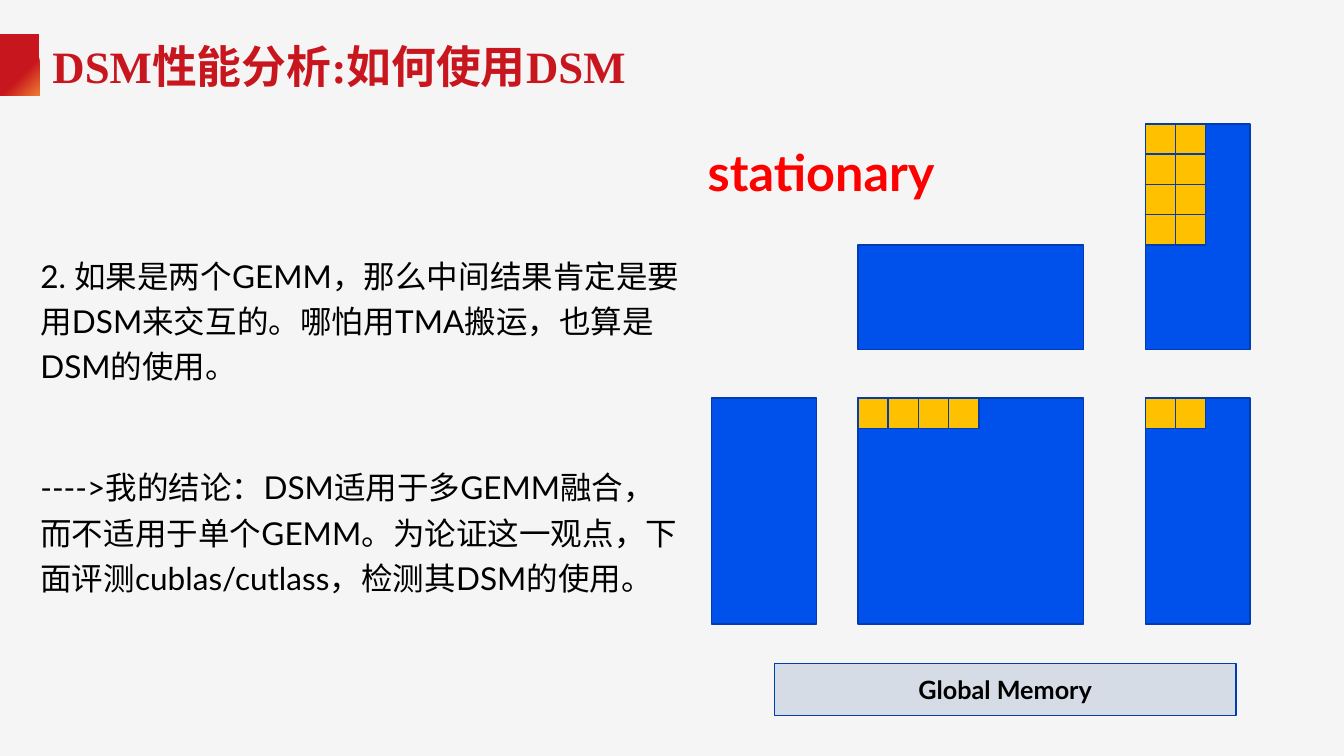
from lxml.etree import SubElement
from pptx import Presentation
from pptx.dml.color import RGBColor
from pptx.enum.shapes import MSO_SHAPE
from pptx.enum.text import MSO_ANCHOR, MSO_AUTO_SIZE, PP_ALIGN
from pptx.oxml.ns import qn
from pptx.util import Inches, Pt

BLUE, EDGE, AMBER, RED = "0051EB", "003DB0", "FFC000", "C8161E"
SHORT, LONG, TILE = 1.04, 2.24, 0.3
LEFT_X, MIDDLE_X, RIGHT_X = 7.06, 8.51, 11.36
TOP_Y, LOWER_Y = 1.23, 3.95
TITLE = "DSM性能分析:如何使用DSM"
POINTS = [
    "2. 如果是两个GEMM，那么中间结果肯定是要用DSM来交互的。哪怕用TMA搬运，也算是DSM的使用。",
    "---->我的结论：DSM适用于多GEMM融合，而不适用于单个GEMM。"
    "为论证这一观点，下面评测cublas/cutlass，检测其DSM的使用。",
]


def color(value):
    """Turn a hex string into a colour."""
    return RGBColor.from_string(value)


def place(shape, left, top, width, height):
    """Move and size a shape, in inches."""
    shape.left, shape.top = Inches(left), Inches(top)
    shape.width, shape.height = Inches(width), Inches(height)


def style(para, name, size, ink, bold=False):
    """Set the font of a paragraph."""
    font = para.font
    font.name, font.size, font.bold = name, Pt(size), bold
    font.color.rgb = color(ink)


def add_block(page, left, top, width, height, fill=BLUE):
    """Add an outlined rectangle."""
    block = page.shapes.add_shape(
        MSO_SHAPE.RECTANGLE, Inches(left), Inches(top), Inches(width), Inches(height))
    block.shadow.inherit = False
    block.fill.solid()
    block.fill.fore_color.rgb = color(fill)
    block.line.color.rgb = color(EDGE)
    block.line.width = Pt(1)
    return block


def add_tiles(page, left, top, columns, rows):
    """Add a grid of square tiles."""
    for column in range(columns):
        for row in range(rows):
            add_block(page, left + column * TILE, top + row * TILE, TILE, TILE, AMBER)


def add_title(page):
    """Fill the title and add the gradient badge beside it."""
    badge = add_block(page, 0, 0.34, 0.39, 0.61)
    badge.line.fill.background()
    badge.fill.gradient()
    badge.fill.gradient_angle = 315
    for stop, position, ink in zip(badge.fill.gradient_stops, (0.62, 1), (RED, "ED7D31")):
        stop.position = position
        stop.color.rgb = color(ink)
    title = page.shapes.title
    place(title, 0.42, 0.29, 9.78, 0.72)
    frame = title.text_frame
    frame.text = TITLE
    frame.auto_size = MSO_AUTO_SIZE.NONE
    frame.vertical_anchor = MSO_ANCHOR.MIDDLE
    frame.paragraphs[0].alignment = PP_ALIGN.LEFT
    style(frame.paragraphs[0], "Times New Roman", 32, RED, True)


def add_points(page):
    """Fill the body placeholder with unbulleted paragraphs."""
    body = page.placeholders[1]
    place(body, 0.3, 2.42, 6.55, 3.77)
    frame = body.text_frame
    frame.text = "\n".join(POINTS)
    frame.auto_size = MSO_AUTO_SIZE.NONE
    for index, para in enumerate(frame.paragraphs):
        para.line_spacing = 1.2
        para.space_before = Pt(54 * index)
        properties = para._p.get_or_add_pPr()
        properties.set("marL", "0")
        properties.set("indent", "0")
        SubElement(properties, qn("a:buNone"))
        style(para, "Lato", 22.5, "000000")


def add_matrices(page):
    """Draw the matrices and their tiles."""
    for left, top, width, height in (
        (LEFT_X, LOWER_Y, SHORT, LONG),
        (MIDDLE_X, TOP_Y + LONG - SHORT, LONG, SHORT),
        (MIDDLE_X, LOWER_Y, LONG, LONG),
        (RIGHT_X, TOP_Y, SHORT, LONG),
        (RIGHT_X, LOWER_Y, SHORT, LONG),
    ):
        add_block(page, left, top, width, height)
    add_tiles(page, MIDDLE_X, LOWER_Y, 4, 1)
    add_tiles(page, RIGHT_X, TOP_Y, 2, 4)
    add_tiles(page, RIGHT_X, LOWER_Y, 2, 1)


def add_labels(page):
    """Add the memory bar and the red caption."""
    memory = add_block(page, 7.68, 6.58, 4.58, 0.52, "D6DCE5")
    memory.text_frame.text = "Global Memory"
    memory.text_frame.vertical_anchor = MSO_ANCHOR.MIDDLE
    para = memory.text_frame.paragraphs[0]
    para.alignment = PP_ALIGN.CENTER
    style(para, "Lato", 18, "000000", True)
    box = page.shapes.add_textbox(Inches(6.92), Inches(1.35), Inches(2.98), Inches(0.71))
    box.text_frame.word_wrap = True
    box.text_frame.text = "stationary"
    style(box.text_frame.paragraphs[0], "Lato", 36, "FF0000", True)


def main():
    """Build the slide and save it."""
    deck = Presentation()
    deck.slide_width, deck.slide_height = Inches(13.33), Inches(7.5)
    page = deck.slides.add_slide(deck.slide_layouts[1])
    page.background.fill.solid()
    page.background.fill.fore_color.rgb = color("F5F5F5")
    add_title(page)
    add_points(page)
    add_matrices(page)
    add_labels(page)
    deck.save("out.pptx")


if __name__ == "__main__":
    main()
